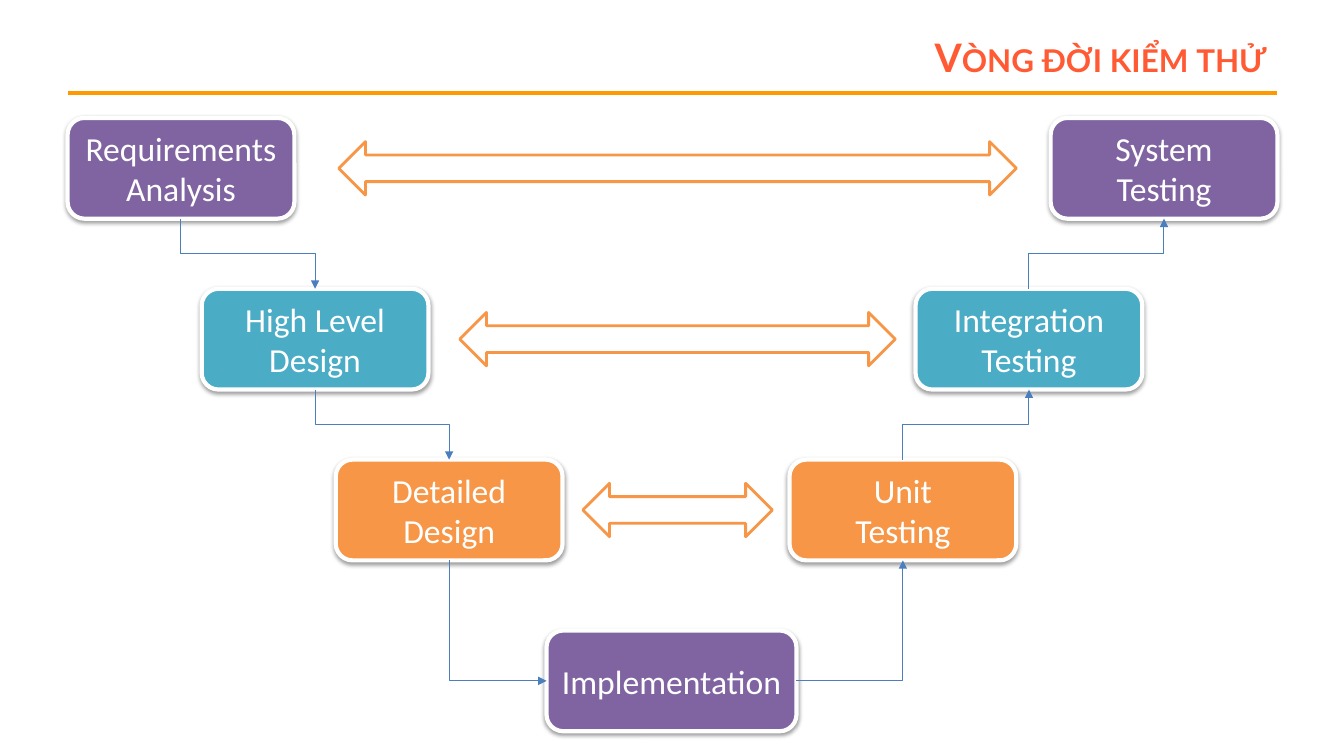
"""Build the V-model slide of the software testing life cycle."""
from dataclasses import dataclass

import pptx
import pptx.dml.color
import pptx.enum.shapes
import pptx.enum.text
import pptx.oxml.ns
import pptx.util
from lxml import etree
from pptx.util import Inches

qn = pptx.oxml.ns.qn
SHAPE = pptx.enum.shapes.MSO_SHAPE
ALIGN = pptx.enum.text.PP_ALIGN
TOP, LEFT, BOTTOM, RIGHT = range(4)
FIRST_ROW, ROW_STEP = 1.17, 1.695
PHASE_WIDTH, PHASE_HEIGHT = 2.25, 1
PURPLE, TEAL, ORANGE = "8064A2", "4BACC6", "F79646"
WHITE, BLUE = "FFFFFF", "4B7EBC"


@dataclass
class Phase:
    text: str
    left: float
    row: int
    color: str
    width: float = PHASE_WIDTH


@dataclass
class Step:
    source: str
    source_site: int
    target: str
    target_site: int
    preset: str
    rotation: int
    flips: str


@dataclass
class Verification:
    left: float
    row: int
    width: float


PHASES = {
    "requirements": Phase("Requirements\nAnalysis", 0.67, 0, PURPLE),
    "system": Phase("System\nTesting", 10.42, 0, PURPLE),
    "high_level": Phase("High Level Design", 2, 1, TEAL),
    "integration": Phase("Integration Testing", 9.08, 1, TEAL),
    "detailed": Phase("Detailed Design", 3.33, 2, ORANGE),
    "unit": Phase("Unit\nTesting", 7.83, 2, ORANGE),
    "implementation": Phase("Implementation", 5.42, 3, PURPLE, 2.48),
}
STEPS = [
    Step("requirements", BOTTOM, "high_level", TOP, "bentConnector3", 270, "H"),
    Step("high_level", BOTTOM, "detailed", TOP, "bentConnector3", 270, "H"),
    Step("detailed", BOTTOM, "implementation", LEFT, "bentConnector2", 270, "H"),
    Step("implementation", RIGHT, "unit", BOTTOM, "bentConnector2", 0, "V"),
    Step("unit", TOP, "integration", BOTTOM, "bentConnector3", 90, "HV"),
    Step("integration", TOP, "system", BOTTOM, "bentConnector3", 90, "HV"),
]
VERIFICATIONS = [
    Verification(5.78, 2, 1.88),
    Verification(4.56, 1, 4.32),
    Verification(3.36, 0, 6.72),
]


def rgb(color: str) -> pptx.dml.color.RGBColor:
    """Turn a hex string into a colour."""
    return pptx.dml.color.RGBColor.from_string(color)


def set_line(item, color: str, points: float) -> None:
    """Set the colour and width of an outline or connector."""
    item.line.color.rgb = rgb(color)
    item.line.width = pptx.util.Pt(points)


def row_top(row: int) -> float:
    """Return the top of a row of phases in inches."""
    return FIRST_ROW + row * ROW_STEP


def add_filled(slide, preset, box: tuple, fill: str, line: str, points: float):
    """Add a filled and outlined shape without a shadow."""
    shape = slide.shapes.add_shape(preset, *map(Inches, box))
    shape.shadow.inherit = False
    shape.fill.solid()
    shape.fill.fore_color.rgb = rgb(fill)
    set_line(shape, line, points)
    return shape


def add_soft_shadow(shape) -> None:
    """Give a shape a soft shadow straight below it."""
    effects = shape.element.spPr.find(qn("a:effectLst"))
    shadow = etree.SubElement(effects, qn("a:outerShdw"), blurRad="40000",
                              dist="20000", dir="5400000", rotWithShape="0")
    shade = etree.SubElement(shadow, qn("a:srgbClr"), val="000000")
    etree.SubElement(shade, qn("a:alpha"), val="38000")


def add_phase(slide, phase: Phase):
    """Add one rounded box of the V and return it."""
    box = (phase.left, row_top(phase.row), phase.width, PHASE_HEIGHT)
    shape = add_filled(slide, SHAPE.ROUNDED_RECTANGLE, box, phase.color, WHITE, 3)
    add_soft_shadow(shape)
    frame = shape.text_frame
    frame.text = phase.text
    frame.word_wrap = True
    frame.vertical_anchor = pptx.enum.text.MSO_ANCHOR.MIDDLE
    for paragraph in frame.paragraphs:
        paragraph.alignment = ALIGN.CENTER
        paragraph.font.size = pptx.util.Pt(24)
        for run in paragraph.runs:
            run.font.size = pptx.util.Pt(24)
            run.font.name = "Calibri"
            run.font.color.rgb = rgb(WHITE)
    return shape


def add_connector(slide, kind, color: str, points: float):
    """Add a connector without a shadow, still to be placed."""
    connector = slide.shapes.add_connector(kind, 0, 0, 0, 0)
    set_line(connector, color, points)
    etree.SubElement(connector.element.spPr, qn("a:effectLst"))
    return connector


def add_step(slide, step: Step, boxes: dict) -> None:
    """Join two phases with a bent arrow."""
    arrow = add_connector(slide, pptx.enum.shapes.MSO_CONNECTOR.ELBOW, BLUE, 0.75)
    arrow.begin_connect(boxes[step.source], step.source_site)
    arrow.end_connect(boxes[step.target], step.target_site)
    properties = arrow.element.spPr
    etree.SubElement(properties.find(qn("a:ln")), qn("a:tailEnd"), type="triangle")
    properties.find(qn("a:prstGeom")).set("prst", step.preset)
    left, top, width, height = arrow.left, arrow.top, arrow.width, arrow.height
    if step.rotation:
        left += (width - height) // 2
        top += (height - width) // 2
        width, height = height, width
    arrow.left, arrow.top, arrow.width, arrow.height = left, top, width, height
    frame = properties.find(qn("a:xfrm"))
    frame.set("rot", str(step.rotation * 60000))
    for axis in "HV":
        frame.set(f"flip{axis}", str(int(axis in step.flips)))


def add_heading(slide) -> None:
    """Add the rule and the right-aligned title in small capitals."""
    rule = add_connector(slide, pptx.enum.shapes.MSO_CONNECTOR.STRAIGHT, "FF9900", 3)
    rule.begin_x, rule.end_x = Inches(0.67), Inches(12.67)
    rule.begin_y = rule.end_y = Inches(0.92)
    title = slide.shapes.add_textbox(*map(Inches, (2.44, 0.3, 10.22, 0.53)))
    frame = title.text_frame
    frame.text = "Vòng đời kiểm thử"
    frame.word_wrap = True
    frame.vertical_anchor = pptx.enum.text.MSO_ANCHOR.MIDDLE
    paragraph = frame.paragraphs[0]
    paragraph.alignment = ALIGN.RIGHT
    font = paragraph.runs[0].font
    font.name, font.size, font.bold = "Lato", pptx.util.Pt(28), True
    font.color.rgb = rgb("FF5A33")
    next(title.element.iter(qn("a:rPr"))).set("cap", "small")


def main() -> None:
    """Build and save the slide."""
    deck = pptx.Presentation()
    deck.slide_width, deck.slide_height = Inches(13.33), Inches(7.5)
    slide = deck.slides.add_slide(deck.slide_layouts[6])
    add_heading(slide)
    boxes = {key: add_phase(slide, phase) for key, phase in PHASES.items()}
    for step in STEPS:
        add_step(slide, step, boxes)
    for check in VERIFICATIONS:
        box = (check.left, row_top(check.row) + 0.235, check.width, 0.53)
        add_filled(slide, SHAPE.LEFT_RIGHT_ARROW, box, WHITE, ORANGE, 2)
    deck.save("out.pptx")


if __name__ == "__main__":
    main()
